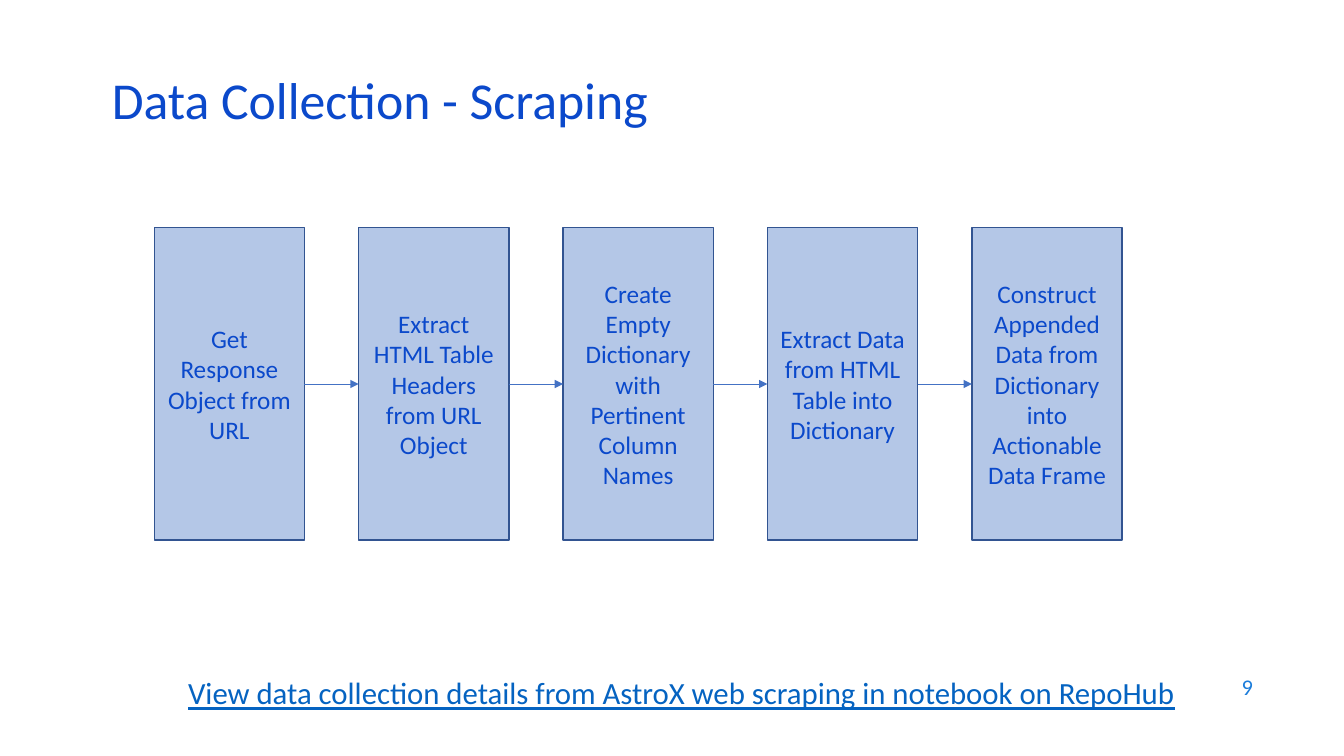
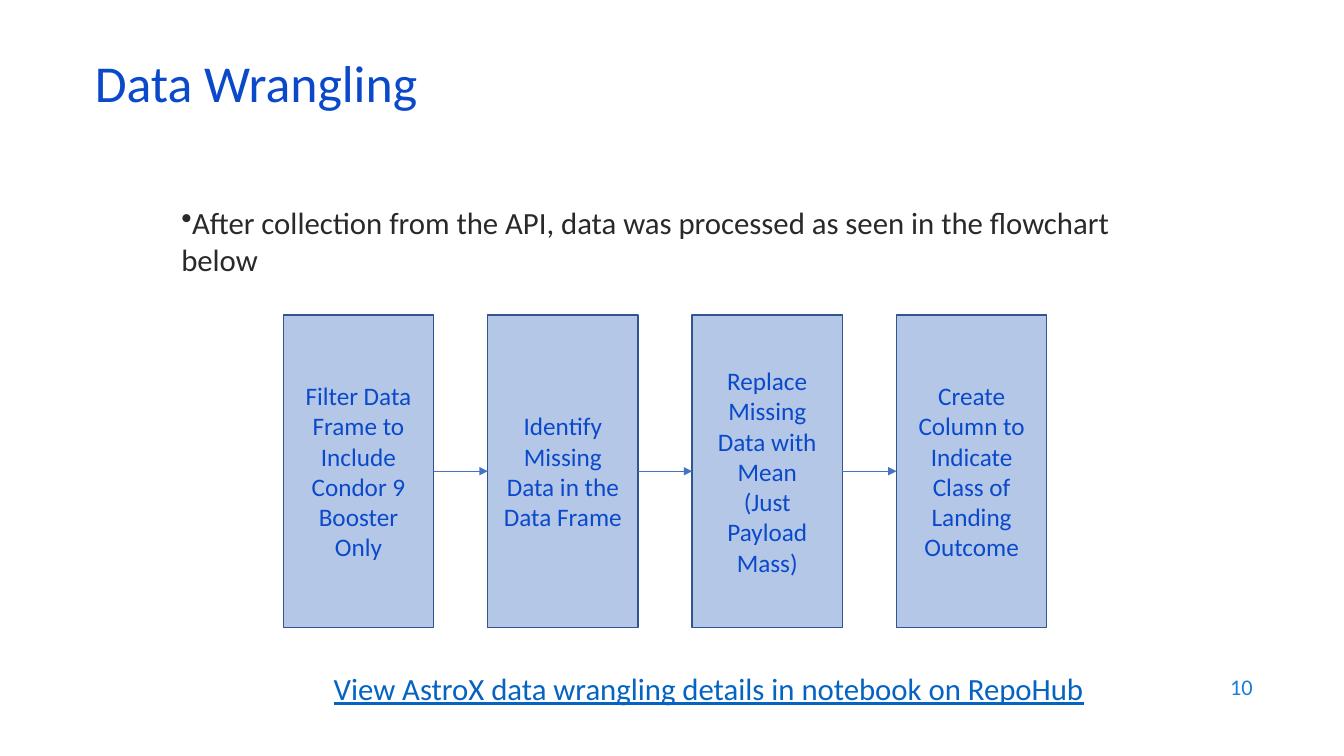
from dataclasses import dataclass

from lxml import etree
from pptx import Presentation
from pptx.dml.color import RGBColor
from pptx.enum.shapes import MSO_CONNECTOR, MSO_SHAPE
from pptx.enum.text import MSO_ANCHOR, MSO_AUTO_SIZE, PP_ALIGN
from pptx.oxml.ns import qn
from pptx.shapes.autoshape import Shape
from pptx.slide import Slide
from pptx.util import Pt

RECT = MSO_SHAPE.RECTANGLE
STRAIGHT = MSO_CONNECTOR.STRAIGHT
TOP, MIDDLE = MSO_ANCHOR.TOP, MSO_ANCHOR.MIDDLE
LEFT, CENTER, RIGHT = PP_ALIGN.LEFT, PP_ALIGN.CENTER, PP_ALIGN.RIGHT
NO_AUTOFIT = MSO_AUTO_SIZE.NONE

TITLE_BLUE = RGBColor(0x0B, 0x49, 0xCB)
NUMBER_BLUE = RGBColor(0x1C, 0x7D, 0xDB)
LINK_BLUE = RGBColor(0x05, 0x63, 0xC1)
BODY_GREY = RGBColor(0x29, 0x29, 0x29)
BOX_FILL = RGBColor(0xB4, 0xC7, 0xE7)
BOX_LINE = RGBColor(0x32, 0x54, 0x91)
ARROW_BLUE = RGBColor(0x44, 0x72, 0xC4)

FONT = "Calibri"
TITLE_ONLY = 5
BOX_WIDTH, BOX_HEIGHT, BOX_PITCH = 107.3, 223.2, 146


@dataclass(frozen=True)
class Area:
    left: float
    top: float
    width: float
    height: float


@dataclass(frozen=True)
class TextStyle:
    size: float
    color: RGBColor
    align: PP_ALIGN = LEFT
    anchor: MSO_ANCHOR = TOP
    underline: bool = False
    spacing: float = 1.0


@dataclass(frozen=True)
class FlowSlide:
    title: str
    title_area: Area
    number: str
    link: str
    link_area: Area
    flow_left: float
    flow_top: float
    steps: tuple[str, ...]
    intro: str = ""


TITLE = TextStyle(37, TITLE_BLUE, anchor=MIDDLE, spacing=0.7)
NUMBER = TextStyle(16, NUMBER_BLUE, RIGHT, MIDDLE)
LINK = TextStyle(22, LINK_BLUE, CENTER, underline=True)
INTRO = TextStyle(22, BODY_GREY)
STEP = TextStyle(18, TITLE_BLUE, CENTER, MIDDLE)

NUMBER_AREA = Area(686, 474.5, 216, 31.7)
INTRO_AREA = Area(122.4, 141.8, 699, 53.3)

SLIDES = (
    FlowSlide(
        title="Data Collection - Scraping",
        title_area=Area(72.7, 54.7, 828, 43.2),
        number="9",
        link="View data collection details from AstroX web scraping in notebook on RepoHub",
        link_area=Area(90.7, 478, 792, 54),
        flow_left=110.2,
        flow_top=162.7,
        steps=(
            "Get Response Object from URL",
            "Extract HTML Table Headers from URL Object",
            "Create Empty Dictionary with Pertinent Column Names",
            "Extract Data from HTML Table into Dictionary",
            "Construct Appended Data from Dictionary into Actionable Data Frame",
        ),
    ),
    FlowSlide(
        title="Data Wrangling",
        title_area=Area(60.5, 42.5, 828, 43.2),
        number="10",
        link="View AstroX data wrangling details in notebook on RepoHub",
        link_area=Area(110.2, 474.5, 792, 54),
        flow_left=202.4,
        flow_top=225,
        steps=(
            "Filter Data Frame to Include Condor 9 Booster Only",
            "Identify Missing Data in the Data Frame",
            "Replace Missing Data with Mean\v(Just Payload Mass)",
            "Create Column to Indicate Class of Landing Outcome",
        ),
        intro="After collection from the API, data was processed as seen in the flowchart below",
    ),
)


def write(sp: Shape, text: str, style: TextStyle, bullet: str = "") -> None:
    tf = sp.text_frame
    tf.text = text
    tf.word_wrap = True
    tf.auto_size = NO_AUTOFIT
    tf.vertical_anchor = style.anchor
    p = tf.paragraphs[0]
    p.alignment = style.align
    p.line_spacing = style.spacing
    if bullet:
        etree.SubElement(p._p.get_or_add_pPr(), qn("a:buChar"), char=bullet)
    for r in p.runs:
        r.font.name = FONT
        r.font.size = Pt(style.size)
        r.font.color.rgb = style.color
        if style.underline:
            r.font.underline = True


def place(sp: Shape, area: Area) -> None:
    sp.left, sp.top = Pt(area.left), Pt(area.top)
    sp.width, sp.height = Pt(area.width), Pt(area.height)


def add_text(s: Slide, area: Area, text: str, style: TextStyle, bullet: str = "") -> None:
    sp = s.shapes.add_textbox(Pt(area.left), Pt(area.top), Pt(area.width), Pt(area.height))
    write(sp, text, style, bullet)


def add_step(s: Slide, left: float, top: float, text: str) -> Shape:
    sp = s.shapes.add_shape(RECT, Pt(left), Pt(top), Pt(BOX_WIDTH), Pt(BOX_HEIGHT))
    sp.shadow.inherit = False
    sp.fill.solid()
    sp.fill.fore_color.rgb = BOX_FILL
    sp.line.color.rgb = BOX_LINE
    sp.line.width = Pt(1)
    write(sp, text, STEP)
    return sp


def add_arrow(s: Slide, source: Shape, target: Shape) -> None:
    arrow = s.shapes.add_connector(STRAIGHT, 0, 0, 0, 0)
    arrow.begin_connect(source, 3)
    arrow.end_connect(target, 1)
    arrow.line.color.rgb = ARROW_BLUE
    arrow.line.width = Pt(0.5)
    etree.SubElement(arrow.line._get_or_add_ln(), qn("a:tailEnd"), type="triangle")
    etree.SubElement(arrow._element.spPr, qn("a:effectLst"))


def add_flow(s: Slide, left: float, top: float, steps: tuple[str, ...]) -> None:
    boxes = [add_step(s, left + i * BOX_PITCH, top, text) for i, text in enumerate(steps)]
    for source, target in zip(boxes, boxes[1:]):
        add_arrow(s, source, target)


def main() -> None:
    prs = Presentation()
    prs.slide_width, prs.slide_height = Pt(960), Pt(540)
    for content in SLIDES:
        s = prs.slides.add_slide(prs.slide_layouts[TITLE_ONLY])
        place(s.shapes.title, content.title_area)
        write(s.shapes.title, content.title, TITLE)
        add_text(s, NUMBER_AREA, content.number, NUMBER)
        if content.intro:
            add_text(s, INTRO_AREA, content.intro, INTRO, "•")
        add_text(s, content.link_area, content.link, LINK)
        add_flow(s, content.flow_left, content.flow_top, content.steps)
    prs.save("out.pptx")


if __name__ == "__main__":
    main()
